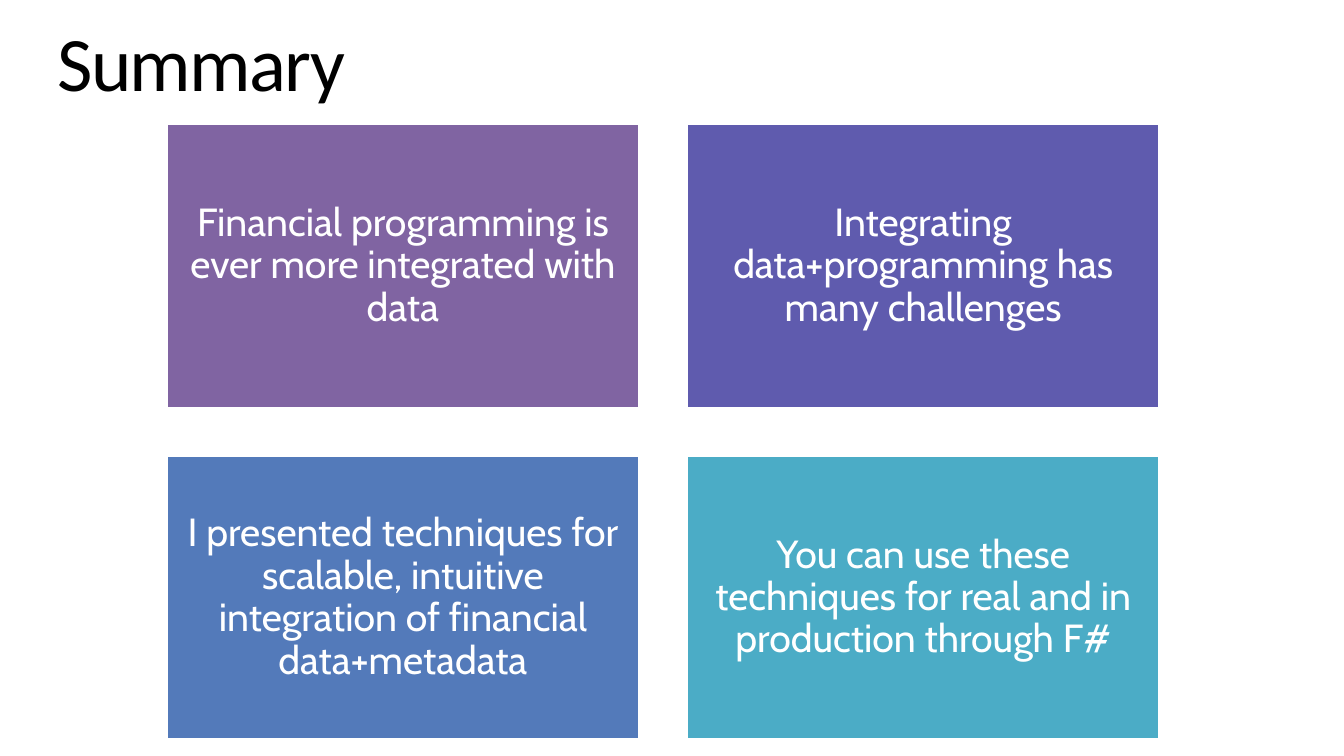
from pptx import Presentation
from pptx.dml.color import RGBColor
from pptx.enum.shapes import MSO_SHAPE
from pptx.enum.text import MSO_ANCHOR, MSO_AUTO_SIZE, PP_ALIGN
from pptx.util import Inches, Pt


def color(value):
    return RGBColor.from_string(value)


def format_text(shape, anchor, inset, alignment, font_name, size, font_color):
    frame = shape.text_frame
    frame.word_wrap = True
    frame.vertical_anchor = anchor
    frame.margin_left = frame.margin_right = Inches(inset)
    frame.margin_top = frame.margin_bottom = Inches(inset)
    paragraph = frame.paragraphs[0]
    paragraph.alignment = alignment
    paragraph.line_spacing = 0.9
    font = paragraph.runs[0].font
    font.name = font_name
    font.size = Pt(size)
    font.color.rgb = color(font_color)


presentation = Presentation()
presentation.slide_width = Inches(13.33)
presentation.slide_height = Inches(7.5)
slide = presentation.slides.add_slide(presentation.slide_layouts[5])

title = slide.shapes.title
title.left, title.top = Inches(0.57), Inches(0.25)
title.width, title.height = Inches(12.19), Inches(0.83)
title.text_frame.text = "Summary"
format_text(title, MSO_ANCHOR.TOP, 0, PP_ALIGN.LEFT, "Calibri", 55, "000000")
title.text_frame.auto_size = MSO_AUTO_SIZE.SHAPE_TO_FIT_TEXT
title.text_frame.paragraphs[0].runs[0].font._element.set("spc", "-120")

cards = [
    ("Financial programming is ever more integrated with data", "8064A2"),
    ("Integrating data+programming has many challenges", "5F5BAE"),
    ("I presented techniques for scalable, intuitive integration of financial data+metadata", "537ABA"),
    ("You can use these techniques for real and in production through F#", "4BACC6"),
]
card_width, card_height, gap = 4.69, 2.82, 0.47
for index, (message, fill) in enumerate(cards):
    row, column = divmod(index, 2)
    card = slide.shapes.add_shape(
        MSO_SHAPE.RECTANGLE,
        Inches(1.65 + column * (card_width + gap)),
        Inches(1.23 + row * (card_height + gap)),
        Inches(card_width),
        Inches(card_height),
    )
    card.shadow.inherit = False
    card.fill.solid()
    card.fill.fore_color.rgb = color(fill)
    card.line.color.rgb = color("FFFFFF")
    card.line.width = Pt(2)
    card.text_frame.text = message
    format_text(card, MSO_ANCHOR.MIDDLE, 0.12, PP_ALIGN.CENTER, "Cabin", 28, "FFFFFF")

presentation.save("out.pptx")
